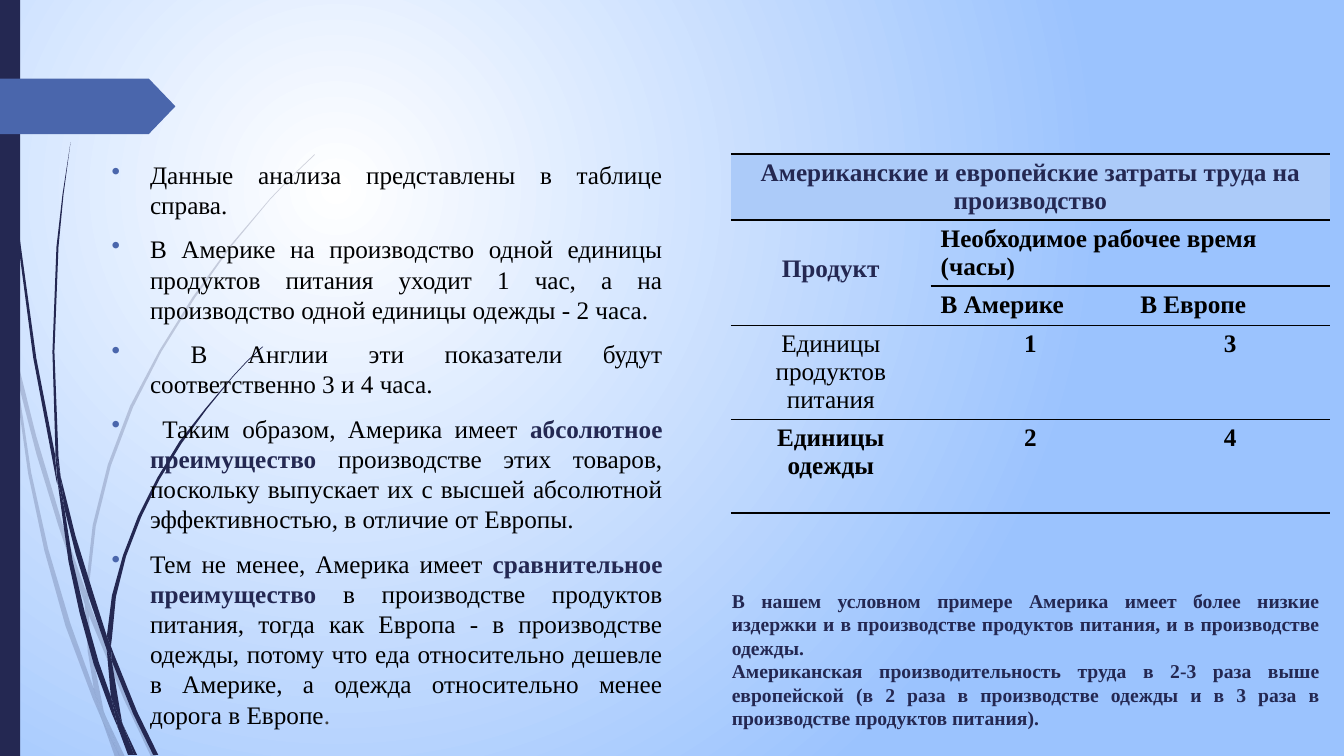
import pptx
import pptx.dml.color
import pptx.enum.shapes
import pptx.enum.text
import pptx.oxml
import pptx.oxml.ns
import pptx.util

NAVY, BLUE, BLACK = "242852", "4A66AC", "000000"
FONT = "Times New Roman"
W, H = 13.33, 7.5
NS = 'xmlns:a="http://schemas.openxmlformats.org/drawingml/2006/main"'
ALIGN = pptx.enum.text.PP_ALIGN
PRESET = pptx.enum.shapes.MSO_SHAPE
qn = pptx.oxml.ns.qn

# Outlines of the grass blades, in inches on the slide
PALE_BLADES = [
    [(0.11, 3.5), (0.09, 3.22), (0, 2.82), (0, 2.99), (0.1, 3.44)],
    [(0.58, 5.22), (0.84, 5.99), (0.85, 5.86), (0.62, 5.2), (0.36, 4.33), (0.14, 3.45),
     (0.17, 3.76), (0.36, 4.5)],
    [(0.92, 6.07), (0.88, 5.96), (0.88, 6.1), (1.23, 6.94), (1.5, 7.51), (1.55, 7.51),
     (1.27, 6.92)],
    [(1.19, 7.51), (1.24, 7.51), (1.05, 7.11)],
    [(0.93, 6.83), (0.7, 6.19), (0.48, 5.45), (0.31, 4.69), (0.17, 3.76), (0.11, 3.5),
     (0.28, 4.7), (0.44, 5.46), (0.65, 6.21), (0.92, 6.93), (1.01, 7.14), (0.99, 7.07)],
    [(0.84, 5.99), (0.87, 6.46), (0.93, 6.83), (0.96, 6.92), (1.05, 7.11), (1.03, 7.06),
     (0.91, 6.46), (0.88, 6.1), (0.88, 6.08)],
    [(0.88, 5.84), (0.95, 5.22), (1.1, 4.62), (1.32, 4.04), (1.6, 3.49), (1.93, 2.96),
     (2.29, 2.45), (2.68, 1.98), (2.9, 1.75), (3.12, 1.54), (3.12, 1.53), (2.89, 1.75),
     (2.68, 1.97), (2.28, 2.44), (1.91, 2.95), (1.58, 3.48), (1.29, 4.03), (1.07, 4.61),
     (0.92, 5.21), (0.85, 5.84), (0.85, 5.86), (0.88, 5.96)],
    [(1.01, 7.14), (1.14, 7.51), (1.19, 7.51)],
    [(0.88, 6.08), (0.88, 6.1), (0.88, 5.96), (0.85, 5.86), (0.84, 5.99)],
    [(0.96, 6.92), (0.93, 6.83), (0.99, 7.07), (1.01, 7.14), (1.19, 7.51), (1.05, 7.11)],
]
DARK_BLADES = [
    [(0.07, 1.1), (0.17, 2.33), (0.33, 3.55), (0.56, 4.77), (0.57, 4.81), (0.55, 4.57),
     (0.55, 4.53), (0.36, 3.55), (0.19, 2.32), (0.08, 1.09), (0.05, 0.48), (0.04, 0),
     (0.03, 0), (0.04, 0.48)],
    [(0.88, 5.92), (1.06, 6.45), (1.06, 6.33), (1.06, 6.31), (0.93, 5.9), (0.75, 5.32),
     (0.6, 4.72), (0.64, 5.05), (0.75, 5.49)],
    [(1.13, 6.49), (1.1, 6.41), (1.11, 6.56), (1.32, 7.08), (1.52, 7.49), (1.57, 7.49),
     (1.36, 7.06)],
    [(1.1, 6.91), (0.98, 6.57), (0.84, 6.07), (0.72, 5.56), (0.64, 5.05), (0.57, 4.77),
     (0.68, 5.57), (0.79, 6.08), (0.93, 6.59), (1.11, 7.08), (1.17, 7.22), (1.16, 7.17)],
    [(0.6, 4.72), (0.58, 4.53), (0.54, 3.49), (0.58, 2.45), (0.63, 1.93), (0.7, 1.41),
     (0.62, 1.93), (0.56, 2.45), (0.52, 3.49), (0.55, 4.49)],
    [(1.33, 7.49), (1.36, 7.49), (1.22, 7.19)],
    [(0.57, 4.77), (0.64, 5.05), (0.6, 4.72), (0.55, 4.49), (0.55, 4.53)],
    [(1.11, 6.33), (1.15, 5.92), (1.25, 5.52), (1.4, 5.13), (1.58, 4.76), (1.8, 4.4),
     (2.05, 4.06), (2.31, 3.74), (2.45, 3.59), (2.61, 3.44), (2.6, 3.44), (2.45, 3.58),
     (2.31, 3.73), (2.04, 4.05), (1.78, 4.38), (1.56, 4.74), (1.37, 5.12), (1.22, 5.51),
     (1.11, 5.91), (1.06, 6.31), (1.1, 6.41)],
    [(1.17, 7.22), (1.27, 7.49), (1.31, 7.49)],
    [(1.06, 6.45), (1.1, 6.91), (1.16, 7.06), (1.22, 7.19), (1.21, 7.16), (1.11, 6.56),
     (1.09, 6.51)],
    [(1.06, 6.45), (1.09, 6.51), (1.11, 6.56), (1.1, 6.41), (1.06, 6.31)],
    [(1.16, 7.06), (1.1, 6.91), (1.16, 7.17), (1.17, 7.22), (1.3, 7.49), (1.33, 7.49),
     (1.22, 7.19)],
]

# Runs are (text, colour, bold)
FINDINGS = [
    [("Данные анализа представлены в таблице справа.", BLACK, False)],
    [("В Америке на производство одной единицы продуктов питания уходит 1 час, "
      "а на производство одной единицы одежды - 2 часа.", BLACK, False)],
    [(" В Англии эти показатели будут соответственно 3 и 4 часа.", BLACK, False)],
    [(" Таким образом, Америка имеет ", BLACK, False),
     ("абсолютное преимущество ", NAVY, True),
     ("производстве этих товаров, поскольку выпускает их с высшей абсолютной "
      "эффективностью, в отличие от Европы.", BLACK, False)],
    [("Тем не менее, Америка имеет ", BLACK, False),
     ("сравнительное преимущество ", NAVY, True),
     ("в производстве продуктов питания, тогда как Европа - в производстве одежды, "
      "потому что еда относительно дешевле в Америке, а одежда относительно менее "
      "дорога в Европе", BLACK, False),
     (".", "404040", False)],
]
CONCLUSION = [
    [("В нашем условном примере Америка имеет более низкие издержки и в производстве "
      "продуктов питания, и в производстве одежды.", NAVY, True)],
    [("Американская производительность труда в 2-3 раза выше европейской (в 2 раза в "
      "производстве одежды и в 3 раза в производстве продуктов питания).", NAVY, True)],
]
# Cells are (row, column, text, colour, bold, alignment)
LABOUR_COSTS = [
    (0, 0, "Американские и европейские затраты труда на производство", NAVY, True, ALIGN.CENTER),
    (1, 0, "Продукт", NAVY, True, ALIGN.CENTER),
    (1, 1, "Необходимое рабочее время (часы)", BLACK, True, ALIGN.LEFT),
    (2, 1, "В Америке", BLACK, True, ALIGN.LEFT),
    (2, 2, "В Европе", BLACK, True, ALIGN.LEFT),
    (3, 0, "Единицы продуктов питания", BLACK, False, ALIGN.CENTER),
    (3, 1, "1", BLACK, True, ALIGN.CENTER),
    (3, 2, "3", BLACK, True, ALIGN.CENTER),
    (4, 0, "Единицы одежды", BLACK, True, ALIGN.CENTER),
    (4, 1, "2", BLACK, True, ALIGN.CENTER),
    (4, 2, "4", BLACK, True, ALIGN.CENTER),
]


def rgb(value):
    return pptx.dml.color.RGBColor.from_string(value)


def inches(*values):
    return [pptx.util.Inches(v) for v in values]


def paint(sp, color):
    sp.fill.solid()
    sp.fill.fore_color.rgb = rgb(color)
    sp.line.fill.background()
    sp.shadow.inherit = False


def add_run(p, text, size, color, bold):
    r = p.add_run()
    r.text = text
    r.font.name, r.font.size, r.font.bold = FONT, pptx.util.Pt(size), bold
    r.font.color.rgb = rgb(color)


def add_blade(s, outline, alpha):
    points = [inches(x, y) for x, y in outline]
    builder = s.shapes.build_freeform(*points[0])
    builder.add_line_segments(points[1:])
    sp = builder.convert_to_shape()
    paint(sp, NAVY)
    color = sp._element.spPr.find(qn("a:solidFill"))[0]
    color.append(pptx.oxml.parse_xml(f'<a:alpha {NS} val="{alpha * 1000}"/>'))


def add_backdrop(s):
    s.background.fill.gradient()
    grad = s._element.find(".//" + qn("a:gradFill"))
    grad.getparent().replace(grad, pptx.oxml.parse_xml(
        f'<a:gradFill {NS} rotWithShape="1"><a:gsLst>'
        '<a:gs pos="0"><a:srgbClr val="FFFFFF"/></a:gs>'
        '<a:gs pos="100000"><a:srgbClr val="9BC3FE"/></a:gs></a:gsLst>'
        '<a:path path="circle"><a:fillToRect l="50000" t="50000" r="100000" b="100000"/>'
        '</a:path></a:gradFill>'))
    for blades, alpha in ((PALE_BLADES, 20), (DARK_BLADES, 100)):
        for outline in blades:
            add_blade(s, outline, alpha)
    paint(s.shapes.add_shape(PRESET.RECTANGLE, *inches(0, 0, 0.2, H)), NAVY)
    arrow = s.shapes.add_shape(PRESET.PENTAGON, *inches(0, 0.78, 1.74, 0.55))
    arrow.adjustments[0] = 0.48
    paint(arrow, BLUE)


def add_text(s, box, paragraphs, size, gap=0, bullets=False):
    tf = s.shapes.add_textbox(*inches(*box)).text_frame
    tf.word_wrap = True
    for i, runs in enumerate(paragraphs):
        p = tf.paragraphs[0] if i == 0 else tf.add_paragraph()
        if bullets:
            pPr = p._p.get_or_add_pPr()
            indent = pptx.util.Inches(0.38)
            pPr.set("marL", str(indent))
            pPr.set("indent", str(-indent))
            pPr.append(pptx.oxml.parse_xml(
                f'<a:buClr {NS}><a:srgbClr val="{BLUE}"/></a:buClr>'))
            pPr.append(pptx.oxml.parse_xml(f'<a:buChar {NS} char="•"/>'))
        p.alignment = ALIGN.JUSTIFY
        p.space_before = pptx.util.Pt(gap if i else 0)
        for text, color, bold in runs:
            add_run(p, text, size, color, bold)


def add_border(cell, side, width):
    cell._tc.get_or_add_tcPr().append(pptx.oxml.parse_xml(
        f'<a:{side} {NS} w="{pptx.util.Pt(width)}"><a:solidFill>'
        f'<a:srgbClr val="{BLACK}"/></a:solidFill></a:{side}>'))


def add_cost_table(s, left, top, width, heights):
    frame = s.shapes.add_table(len(heights), 3, *inches(left, top, width, sum(heights)))
    table = frame.table
    table.first_row = table.horz_banding = False
    style = frame._element.find(".//" + qn("a:tableStyleId"))
    style.text = "{2D5ABB26-0587-4C30-8999-92F81FD0307C}"
    for row, height in zip(table.rows, heights):
        row.height = pptx.util.Inches(height)
    for first, last in (((0, 0), (0, 2)), ((1, 0), (2, 0)), ((1, 1), (1, 2))):
        table.cell(*first).merge(table.cell(*last))
    rules = [2, 2, 1, 1, 1, 2]
    for i in range(len(heights)):
        for j in range(3):
            cell = table.cell(i, j)
            add_border(cell, "lnT", rules[i])
            add_border(cell, "lnB", rules[i + 1])
            if i == 0:
                cell.fill.solid()
                cell.fill.fore_color.rgb = rgb("ACCBF9")
            else:
                cell.fill.background()
    for i, j, text, color, bold, align in LABOUR_COSTS:
        p = table.cell(i, j).text_frame.paragraphs[0]
        p.alignment = align
        add_run(p, text, 18, color, bold)
    product = table.cell(1, 0)
    product.vertical_anchor = pptx.enum.text.MSO_ANCHOR.MIDDLE
    product.margin_bottom = pptx.util.Inches(0.13)


def main():
    prs = pptx.Presentation()
    prs.slide_width, prs.slide_height = inches(W, H)
    s = prs.slides.add_slide(prs.slide_layouts[6])
    add_backdrop(s)
    add_cost_table(s, 7.25, 1.53, 5.94, [0.65, 0.65, 0.39, 0.93, 0.93])
    add_text(s, (7.16, 5.79, 6.03, 1.52), CONCLUSION, 14)
    add_text(s, (1.01, 1.53, 5.66, 5.9), FINDINGS, 18, gap=10, bullets=True)
    prs.save("out.pptx")


if __name__ == "__main__":
    main()
